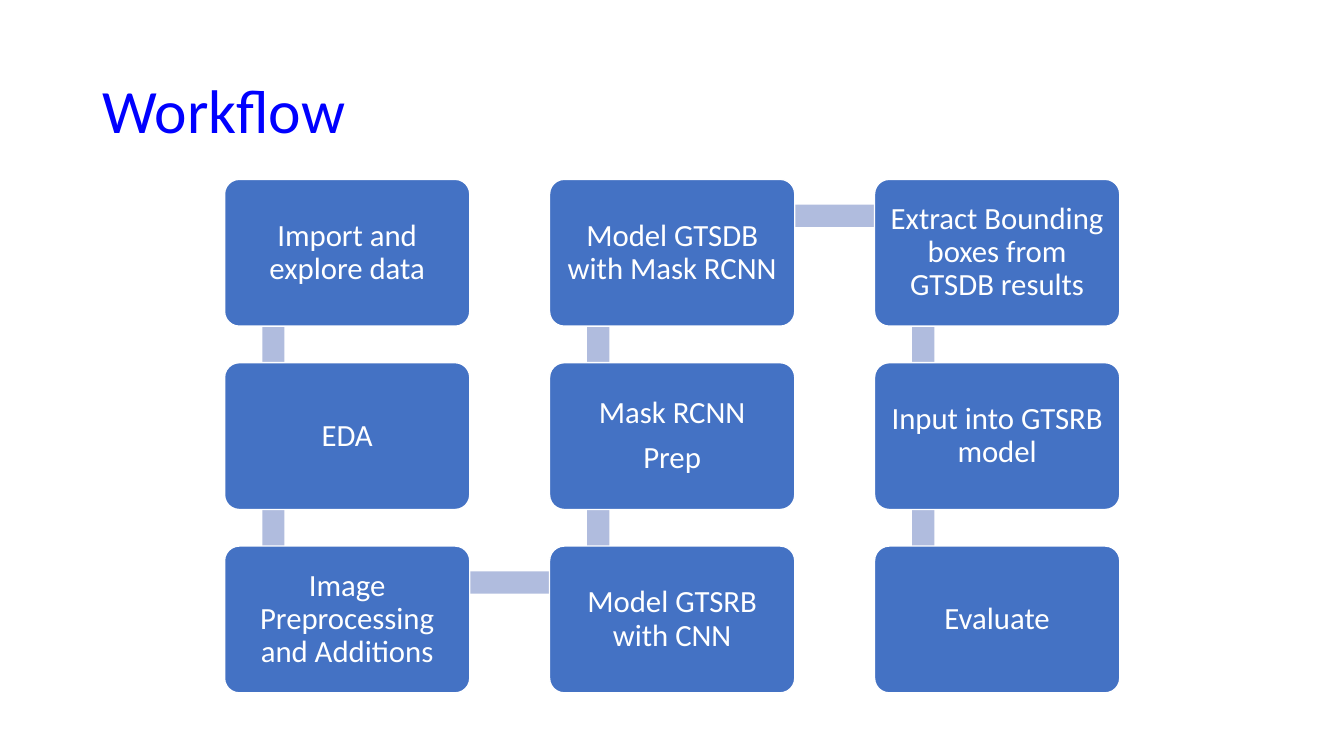
import itertools

import pptx
import pptx.dml.color
import pptx.enum.shapes
import pptx.enum.text
import pptx.util

Cm = pptx.util.Cm
Pt = pptx.util.Pt
Shapes = pptx.enum.shapes.MSO_SHAPE
Align = pptx.enum.text.PP_ALIGN
Anchor = pptx.enum.text.MSO_ANCHOR

COLOURS = {"title": "0000FF", "box": "4472C4", "bar": "B0BCDE", "white": "FFFFFF"}

# Grid of steps, in centimetres
LEFT, TOP = 5.66, 4.52
STEP_X, STEP_Y = 8.19, 4.62
BOX_WIDTH, BOX_HEIGHT = 6.18, 3.7
BAR = 0.56
ANCHOR_X, ANCHOR_Y = 1.23, 0.92

# Column, row and paragraphs of each step, in the order of the flow
STEPS = [
    (0, 0, ["Import and explore data"]),
    (0, 1, ["EDA"]),
    (0, 2, ["Image Preprocessing and Additions"]),
    (1, 2, ["Model GTSRB with CNN"]),
    (1, 1, ["Mask RCNN", "Prep"]),
    (1, 0, ["Model GTSDB with Mask RCNN"]),
    (2, 0, ["Extract Bounding boxes from GTSDB results"]),
    (2, 1, ["Input into GTSRB model"]),
    (2, 2, ["Evaluate"]),
]


class WorkflowSlide:
    font = "Calibri"

    def __init__(self, presentation):
        self.slide = presentation.slides.add_slide(presentation.slide_layouts[6])

    def colour(self, name):
        return pptx.dml.color.RGBColor.from_string(COLOURS[name])

    def add_text(self, shape, lines, size, colour, alignment, inset):
        frame = shape.text_frame
        frame.word_wrap = True
        frame.vertical_anchor = Anchor.MIDDLE
        frame.margin_left = frame.margin_right = Cm(inset)
        frame.margin_top = frame.margin_bottom = Cm(inset)
        for index, line in enumerate(lines):
            paragraph = frame.add_paragraph() if index else frame.paragraphs[0]
            paragraph.alignment = alignment
            paragraph.line_spacing = 0.9
            if index:
                paragraph.space_before = Pt(8.5)
            run = paragraph.add_run()
            run.text = line
            run.font.name = self.font
            run.font.size = Pt(size)
            run.font.color.rgb = self.colour(colour)

    def title(self, text):
        shape = self.slide.shapes.add_textbox(Cm(2.33), Cm(1.01), Cm(29.21), Cm(3.68))
        self.add_text(shape, [text], 44, "title", Align.LEFT, 0.25)

    def block(self, kind, left, top, width, height, fill):
        shape = self.slide.shapes.add_shape(kind, Cm(left), Cm(top), Cm(width), Cm(height))
        shape.shadow.inherit = False
        shape.fill.solid()
        shape.fill.fore_color.rgb = self.colour(fill)
        shape.line.fill.background()
        return shape

    def bar(self, start, end):
        """Join the anchor points of two neighbouring steps."""
        column, row = min(start[0], end[0]), min(start[1], end[1])
        left = LEFT + column * STEP_X + ANCHOR_X - BAR / 2
        top = TOP + row * STEP_Y + ANCHOR_Y - BAR / 2
        width = BAR + abs(end[0] - start[0]) * STEP_X
        height = BAR + abs(end[1] - start[1]) * STEP_Y
        self.block(Shapes.RECTANGLE, left, top, width, height, "bar")

    def step(self, column, row, lines):
        shape = self.block(Shapes.ROUNDED_RECTANGLE, LEFT + column * STEP_X,
                           TOP + row * STEP_Y, BOX_WIDTH, BOX_HEIGHT, "box")
        shape.adjustments[0] = 0.1
        shape.line.color.rgb = self.colour("white")
        shape.line.width = Pt(1)
        self.add_text(shape, lines, 22, "white", Align.CENTER, 0.23)


def main():
    presentation = pptx.Presentation()
    presentation.slide_width = Cm(33.87)
    presentation.slide_height = Cm(19.05)
    workflow = WorkflowSlide(presentation)

    workflow.title("Workflow")

    # Bars lie behind the boxes
    for start, end in itertools.pairwise(STEPS):
        workflow.bar(start, end)
    for column, row, lines in STEPS:
        workflow.step(column, row, lines)

    presentation.save("out.pptx")


if __name__ == "__main__":
    main()
